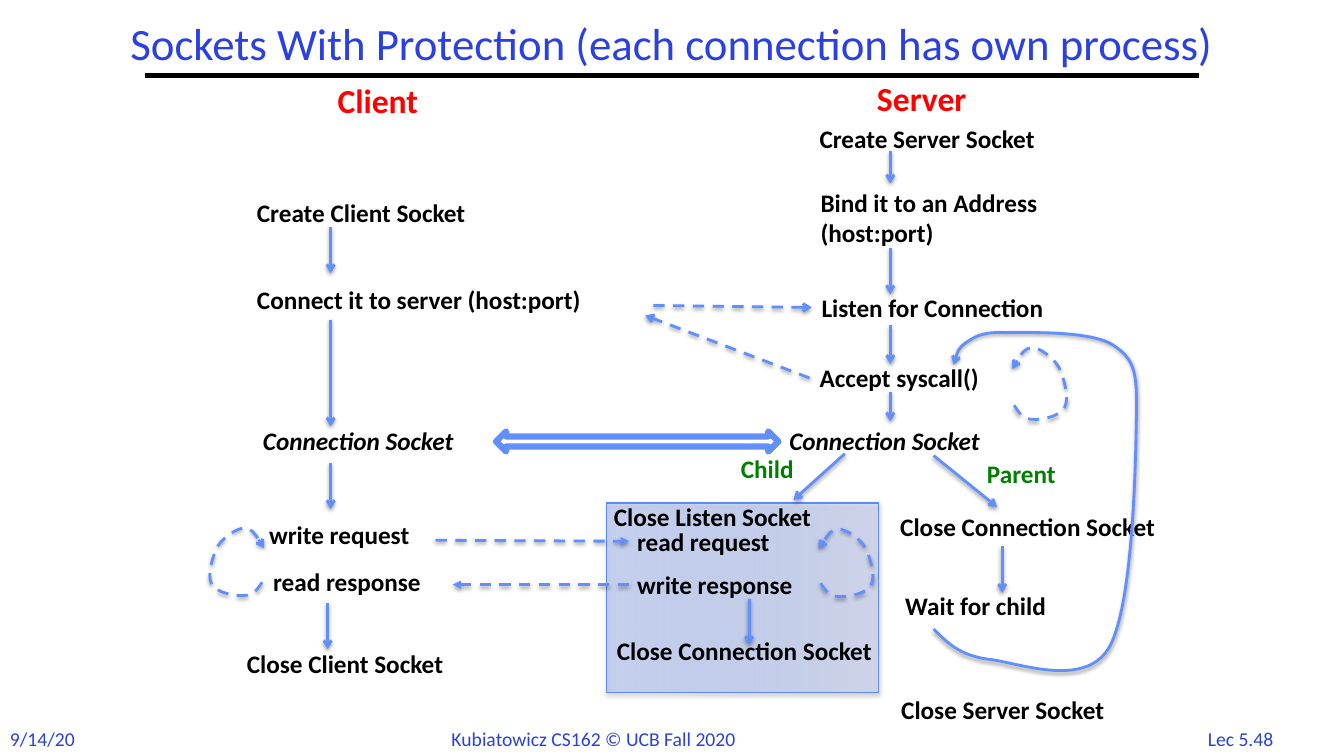
from lxml.etree import SubElement
from pptx import Presentation
from pptx.dml.color import RGBColor
from pptx.enum.dml import MSO_LINE
from pptx.enum.shapes import MSO_CONNECTOR, MSO_SHAPE
from pptx.enum.text import MSO_ANCHOR, MSO_AUTO_SIZE, PP_ALIGN
from pptx.oxml.ns import qn
from pptx.util import Inches, Pt

COLORS = {"blue": "2A40E2", "red": "FF0000", "green": "008000", "black": "000000",
          "white": "FFFFFF", "arrow": "618FFD", "edge": "5B8AFB",
          "deep": "5F8EFF", "pale": "C4D0FF"}


def rgb(name):
    return RGBColor.from_string(COLORS[name])


class Board:
    font = "Calibri"

    def __init__(self, deck):
        self.slide = deck.slides.add_slide(deck.slide_layouts[5])
        self.shapes = self.slide.shapes

    def run(self, para, text, size, color, bold=False, italic=False):
        run = para.add_run()
        run.text = text
        font = run.font
        font.name, font.size = self.font, Pt(size)
        font.bold, font.italic = bold, italic
        font.color.rgb = rgb(color)

    def title(self, text):
        box = self.shapes.title
        box.left, box.top = Inches(0.5), Inches(0.17)
        box.width, box.height = Inches(12.33), Inches(0.58)
        frame = box.text_frame
        frame.auto_size = MSO_AUTO_SIZE.NONE
        frame.vertical_anchor = MSO_ANCHOR.MIDDLE
        para = frame.paragraphs[0]
        para.alignment, para.line_spacing = PP_ALIGN.CENTER, 0.9
        self.run(para, text, 32, "blue")

    def label(self, text, x, y, w, h=0.4, size=18, color="black", bold=True,
              italic=False, wrap=False, align=PP_ALIGN.LEFT):
        box = self.shapes.add_textbox(Inches(x), Inches(y), Inches(w), Inches(h))
        frame = box.text_frame
        frame.word_wrap = wrap
        frame.auto_size = MSO_AUTO_SIZE.SHAPE_TO_FIT_TEXT
        for i, line in enumerate(text.split("\n")):
            para = frame.add_paragraph() if i else frame.paragraphs[0]
            para.alignment = align
            self.run(para, line, size, color, bold, italic)

    def shade(self, shape, alpha=38, dist=1.6):
        effects = SubElement(shape._element.spPr, qn("a:effectLst"))
        if alpha:
            shadow = SubElement(effects, qn("a:outerShdw"), blurRad=str(Pt(3.1)),
                                dist=str(Pt(dist)), dir="5400000", rotWithShape="0")
            tint = SubElement(shadow, qn("a:srgbClr"), val=COLORS["black"])
            SubElement(tint, qn("a:alpha"), val=str(alpha * 1000))

    def stroke(self, shape, dash=False, head="arrow"):
        shape.line.color.rgb = rgb("arrow")
        shape.line.width = Pt(2)
        if dash:
            shape.line.dash_style = MSO_LINE.DASH
        SubElement(shape._element.spPr.find(qn("a:ln")), qn("a:tailEnd"), type=head)
        self.shade(shape)

    def join(self, x1, y1, x2, y2):
        return self.shapes.add_connector(
            MSO_CONNECTOR.STRAIGHT, Inches(x1), Inches(y1), Inches(x2), Inches(y2))

    def arrow(self, x1, y1, x2, y2, dash=False, head="arrow"):
        self.stroke(self.join(x1, y1, x2, y2), dash, head)

    def rule(self, x1, x2, y):
        line = self.join(x1, y, x2, y)
        line.line.color.rgb, line.line.width = rgb("black"), Pt(3)
        self.shade(line, alpha=0)

    def curve(self, points, dash=False):
        spots = [(Inches(x), Inches(y)) for x, y in points]
        pen = self.shapes.build_freeform(*spots[0])
        pen.add_line_segments(spots[1:], close=False)
        shape = pen.convert_to_shape()
        shape.fill.background()
        # Each three points after the start make one Bezier segment
        path = next(shape._element.iter(qn("a:path")))
        steps = path.findall(qn("a:lnTo"))
        for i in range(0, len(steps), 3):
            bend = SubElement(path, qn("a:cubicBezTo"))
            for step in steps[i:i + 3]:
                bend.append(step[0])
                path.remove(step)
        self.stroke(shape, dash)

    def panel(self, x, y, w, h):
        box = self.shapes.add_shape(MSO_SHAPE.RECTANGLE, Inches(x), Inches(y),
                                    Inches(w), Inches(h))
        box.fill.gradient()
        box.fill.gradient_angle = 0
        for stop, name in zip(box.fill.gradient_stops, ("deep", "pale")):
            stop.color.rgb = rgb(name)
        tints = box._element.spPr.find(qn("a:gradFill")).iter(qn("a:srgbClr"))
        for tint, alpha in zip(list(tints), (26, 46)):
            SubElement(tint, qn("a:alpha"), val=str(alpha * 1000))
        box.line.color.rgb, box.line.width = rgb("edge"), Pt(0.75)
        self.shade(box, 35, 1.8)

    def link(self, x, y, w, h):
        bar = self.shapes.add_shape(MSO_SHAPE.LEFT_RIGHT_ARROW, Inches(x), Inches(y),
                                    Inches(w), Inches(h))
        bar.shadow.inherit = False
        bar.fill.solid()
        bar.fill.fore_color.rgb = rgb("white")
        bar.line.color.rgb, bar.line.width = rgb("arrow"), Pt(4.5)


# Repeat loop, measured from its top left corner
LOOP = [(0.02, 0.57), (0.06, 0.64), (0.11, 0.71), (0.2, 0.71), (0.28, 0.72),
        (0.48, 0.68), (0.52, 0.59), (0.57, 0.5), (0.51, 0.29), (0.46, 0.19),
        (0.4, 0.09), (0.27, 0), (0.2, 0), (0.12, 0), (0.06, 0.11), (0, 0.21)]
# Way back from the parent to accept
BACK = [(9.26, 6.24), (9.39, 6.37), (9.51, 6.5), (9.8, 6.54), (10.09, 6.57),
        (10.74, 6.83), (10.99, 6.44), (11.23, 6.06), (11.26, 4.71), (11.27, 4.21),
        (11.28, 3.71), (11.27, 3.58), (11.05, 3.43), (10.84, 3.28), (10.21, 3.3),
        (9.97, 3.3), (9.72, 3.29), (9.66, 3.35), (9.58, 3.4), (9.5, 3.46),
        (9.48, 3.54), (9.46, 3.62)]


def main():
    deck = Presentation()
    deck.slide_width, deck.slide_height = Inches(13.33), Inches(7.5)
    board = Board(deck)

    # Title, rule and footer
    board.title("Sockets With Protection (each connection has own process)")
    board.rule(1.44, 11.89, 0.75)
    foot = {"y": 7.16, "h": 0.34, "size": 14, "color": "blue", "bold": False}
    board.label("9/14/20", x=0, w=0.85, **foot)
    board.label("Kubiatowicz CS162 © UCB Fall 2020", x=4.38, w=3.43, **foot)
    board.label("Lec 5.48", x=11.82, w=0.97, align=PP_ALIGN.CENTER, **foot)

    # Child process panel
    board.panel(6.02, 4.99, 2.69, 1.88)

    # Headings and branch names
    board.label("Client", 3.25, 0.74, 1.14, 0.5, 24, "red")
    board.label("Server", 8.6, 0.72, 1.3, 0.5, 24, "red")
    board.label("Child", 7.25, 4.45, 0.83, color="green")
    board.label("Parent", 9.69, 4.5, 0.99, color="green")

    # Steps
    for text, x, y, w in [
            ("Create Client Socket", 2.45, 1.91, 2.66),
            ("Connect it to server (host:port)", 2.45, 2.77, 3.92),
            ("write request", 2.57, 5.1, 1.77),
            ("read response", 2.61, 5.57, 1.91),
            ("Close Client Socket", 2.35, 6.38, 2.57),
            ("Create Server Socket", 8.03, 1.17, 2.74),
            ("Listen for Connection", 8.05, 2.85, 2.8),
            ("Accept syscall()", 8.03, 3.55, 2.13),
            ("read request", 6.22, 5.17, 1.77),
            ("write response", 6.22, 5.6, 1.99),
            ("Close Server Socket", 8.84, 6.84, 2.7)]:
        board.label(text, x, y, w)
    board.label("Bind it to an Address\n(host:port)", 8.04, 1.81, 2.8, 0.71)
    for x in (2.51, 7.73):
        board.label("Connection Socket", x, 4.17, 2.49, italic=True)
    for text, x, y, w, h in [
            ("Close Listen Socket", 5.99, 4.92, 2.75, 0.4),
            ("Close Connection Socket", 6.02, 6.25, 2.94, 0.71),
            ("Close Connection Socket", 8.83, 5.02, 2.75, 0.71),
            ("Wait for child", 8.88, 5.81, 2.75, 0.4)]:
        board.label(text, x, y, w, h, wrap=True)

    # Downward arrows
    for x, top, end in [
            (3.28, 2.25, 2.71), (3.28, 3.17, 4.23), (3.28, 4.59, 5.05),
            (3.25, 5.98, 6.44), (8.83, 1.5, 1.82), (8.83, 2.46, 2.92),
            (8.83, 3.22, 3.61), (8.83, 3.89, 4.18), (7.43, 5.94, 6.4),
            (9.94, 5.42, 5.88)]:
        board.arrow(x, top, x, end)

    # Fork into child and parent
    board.arrow(8.38, 4.5, 7.87, 4.96)
    board.arrow(9.26, 4.52, 9.89, 5.03)

    # Messages between client and server
    board.arrow(6.48, 3.03, 8.05, 3.05, dash=True)
    board.arrow(8.03, 3.75, 6.4, 3.13, dash=True)
    board.arrow(4.32, 5.36, 6.24, 5.37, dash=True, head="triangle")
    board.arrow(6.24, 5.8, 4.49, 5.8, dash=True, head="triangle")
    board.link(4.92, 4.28, 2.8, 0.2)

    # Loops
    board.curve(BACK)
    for x, y, side, tall in [(10.04, 3.45, 1, 1), (8.12, 5.25, 1, 0.94),
                             (2.62, 5.24, -1, 0.94)]:
        board.curve([(x + side * dx, y + tall * dy) for dx, dy in LOOP], dash=True)

    deck.save("out.pptx")


if __name__ == "__main__":
    main()
